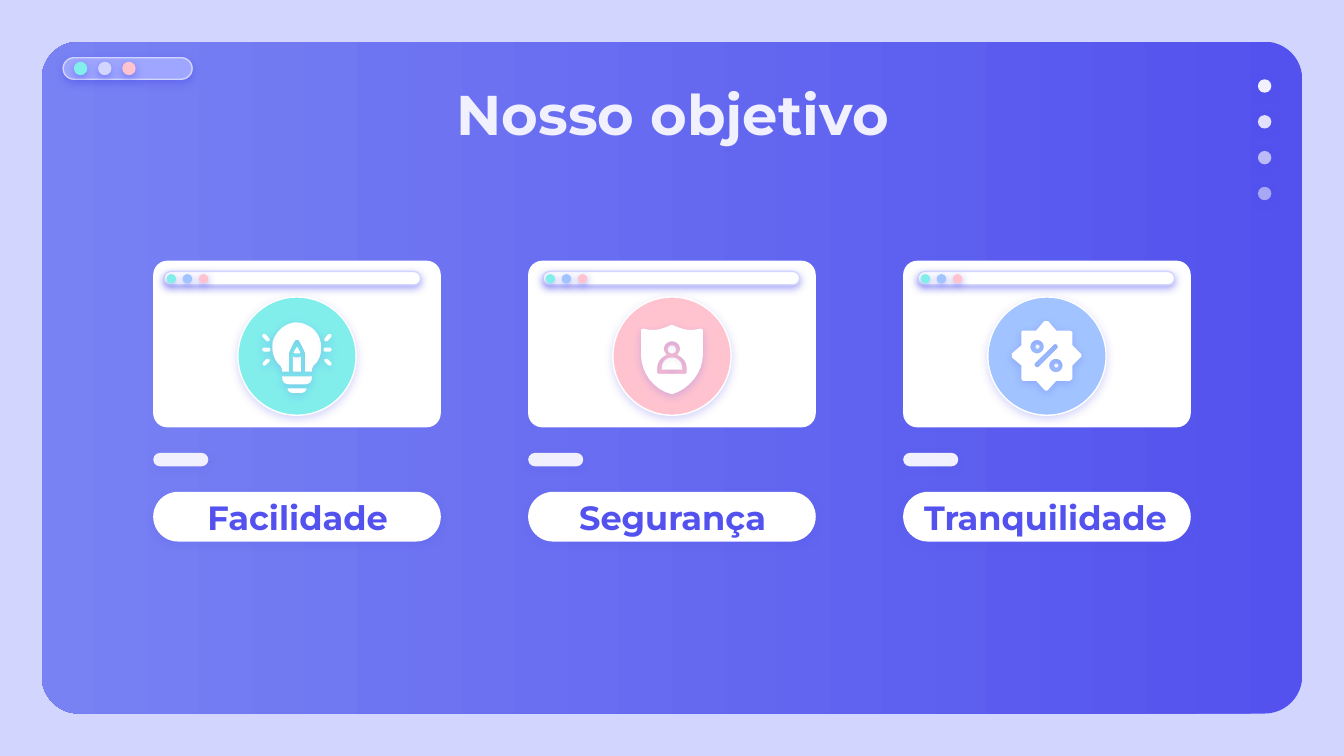
from dataclasses import dataclass
from math import cos, pi, sin
from typing import Optional

from lxml.etree import SubElement
from pptx import Presentation
from pptx.dml.color import RGBColor
from pptx.enum.shapes import MSO_SHAPE as Preset
from pptx.enum.text import MSO_ANCHOR as Anchor, MSO_AUTO_SIZE as AutoSize, PP_ALIGN as Align
from pptx.oxml.ns import qn
from pptx.util import Inches, Pt

COLORS = {
    "indigo": "5352EE", "violet": "7882F3", "lavender": "D2D6FF", "periwinkle": "9EA6FF",
    "mint": "81EEEB", "pink": "FFC3D0", "sky": "A1C3FF", "pale": "F1F0FF", "white": "FFFFFF",
}
FONT = "Montserrat"
MIDDLE_X, COLUMN_PITCH = 5.0, 2.79
CARD_WIDTH = 2.14
ICON_Y = 2.65
CURVE_STEPS = 8

RAYS = [
    "M -24 -6.3, C -26.4 -6.3 -26.4 -3.3 -24 -3.3, L -21 -3.3, C -19.4 -3.3 -19.4 -6.3 -21 -6.3",
    "M -24 -16.6, C -25.6 -16.6 -26.4 -15 -25 -13.6, L -23 -11.6, "
    "C -21 -10 -19.4 -12 -21 -13.6, L -23 -16",
    "M -22 2, C -22 2 -22.6 2 -23 2.4, L -25 4.4, C -26.6 6 -25 8 -23 6.4, "
    "L -21 4.4, C -19.6 3 -20.6 2 -22 2",
]
BULB = [
    "M 0 -25, C -2 -25 -3 -25 -4 -24.6, C -11 -23 -16 -17 -18 -11, C -19 -5 -18 1 -14 5.6, "
    "C -12 7 -11 9 -11 11.6, L -6 11.6, L -6 -2, C -6 -3 -2 -11 -1.4 -11.6, "
    "C -1 -12.3 1 -12.3 1.4 -11.6, C 2 -11 6 -3 6 -2, L 6 11.6, L 11 11.6, "
    "C 11 9 12 7 14 5.4, C 17 2 18 -2 18 -6, C 18 -12 16 -17 11 -21, C 8 -23 4 -25 0 -25",
    "M -3 0.4, L -3 11.6, L 3 11.6, L 3 0.4, C 2 1 1 1 0 1, C -1 1 -2 1 -3 0.4",
    "M -11 15, L -11 16, C -11 19 -9 21 -6 21, L 6 21, C 9 21 11 19 11 16, L 11 15",
    "M 0 -7, L -2.6 -2.6, C -2 -2 -1 -2 0 -2, C 1 -2 2 -2 2.6 -2.6",
    "M -7 24, C -7 26 -5 27.4 -3 27.4, L 3 27.4, C 5 27.4 7 26 7 24",
]
SHIELD = [
    "M 0 1, C -4 1 -7.6 4 -7.6 9, L -7.6 10, L 7.6 10, L 7.6 9, C 7.6 4 4 1 0 1",
    "O 0 -5 3",
    "M 0 -11, C 3 -11 6 -9 6 -5, C 6 -4 5 -2 4 -1, C 8 1 11 4 11 9, L 11 12, "
    "C 11 13 10 13.3 9 13.3, L -9 13.3, C -10 13.3 -11 13 -11 12, L -11 9, "
    "C -11 4 -8 1 -4 -1, C -5 -2 -6 -4 -6 -5, C -6 -9 -3 -11 0 -11, "
    "M 0 -23.4, L -1 -23, C -5 -21 -10 -19.4 -14 -19.4, C -17 -19.4 -19 -20 -21 -20.4, "
    "C -22 -20.4 -23 -20 -23 -19, L -23 -1, C -23 12 -14 25 0 28.4, C 13 24.6 23 12 23 -1, "
    "L 23 -19, C 23 -20 22 -20.4 21 -20.4, C 19 -20 16 -19.4 14 -19.4, "
    "C 10 -19.4 5 -21 1 -23, L 0 -23.4",
]
BADGE = [
    "O 7 7 1.5",
    "O -7 -7 1.5",
    "O -7.3 -7 5, O 6.7 7 5, "
    "M 6 -9, C 7 -9 8 -8.4 8 -7.4, L 8 -6, L -6 8, C -7 9 -10 8 -9 5.4, L 5 -8.4, "
    "M 0 -26, L -2 -26, L -8 -19, L -18 -19, L -19 -18, L -19 -8, L -26 -2, C -26 -1 -26 0 -26 1, "
    "L -19 7, L -19 17, L -18 18.4, L -8 18.4, L -2 25, C -1 26 0 26 1 25, L 7 18.4, "
    "L 17 18.4, L 19 17, L 19 7, L 25 1, C 26 0 26 -1 25 -2, L 19 -8, L 19 -18, "
    "L 17 -19, L 7 -19, L 1 -26",
]


@dataclass
class Style:
    fill: str
    alpha: int = 100
    line: Optional[str] = None
    shadow: int = 0


@dataclass
class Goal:
    label: str
    color: str
    bar_left: float
    label_left: float
    label_width: float
    outlines: list[str]
    mirrored: list[str]


GOALS = [
    Goal("Facilidade", "mint", 1.22, 1.34, 1.75, BULB, RAYS),
    Goal("Segurança", "pink", 4.04, 4.13, 1.75, SHIELD, []),
    Goal("Tranquilidade", "sky", 6.83, 6.75, 2.06, BADGE, []),
]


def rgb(name: str) -> RGBColor:
    return RGBColor.from_string(COLORS[name])


def paint(shape, style: Style) -> None:
    shape.fill.solid()
    shape.fill.fore_color.rgb = rgb(style.fill)
    if style.alpha < 100:
        color = shape.element.spPr.find(qn("a:solidFill"))[0]
        SubElement(color, qn("a:alpha"), val=str(style.alpha * 1000))
    if style.line:
        shape.line.color.rgb = rgb(style.line)
        shape.line.width = Pt(0.75)
    else:
        shape.line.fill.background()
    shape.shadow.inherit = False
    if style.shadow:
        effects = shape.element.spPr.find(qn("a:effectLst"))
        outer = SubElement(effects, qn("a:outerShdw"), blurRad=str(Pt(4.5)), dist=str(Pt(1.5)),
                           dir="5400000", algn="bl", rotWithShape="0")
        color = SubElement(outer, qn("a:srgbClr"), val=COLORS["indigo"])
        SubElement(color, qn("a:alpha"), val=str(style.shadow * 1000))


def add_preset(shapes, preset, left: float, top: float, width: float, height: float,
               style: Style, corner: float = 0.5):
    shape = shapes.add_shape(preset, Inches(left), Inches(top), Inches(width), Inches(height))
    if preset == Preset.ROUNDED_RECTANGLE:
        shape.adjustments[0] = corner
    paint(shape, style)
    return shape


def add_dots(shapes, left: float, top: float, step: float, size: float, colors: list[str]) -> None:
    for index, color in enumerate(colors):
        add_preset(shapes, Preset.OVAL, left + index * step, top, size, size, Style(color, shadow=50))


def flatten(outline: str) -> list[list[tuple[float, float]]]:
    contours = []
    for step in outline.split(","):
        kind, *words = step.split()
        values = [float(word) for word in words]
        if kind == "O":
            x, y, radius = values
            angles = [2 * pi * turn / 24 for turn in range(24)]
            contours.append([(x + radius * cos(a), y + radius * sin(a)) for a in angles])
        elif kind == "M":
            contours.append([(values[0], values[1])])
        elif kind == "L":
            contours[-1].append((values[0], values[1]))
        else:
            knots = [contours[-1][-1], *zip(values[::2], values[1::2])]
            for index in range(1, CURVE_STEPS + 1):
                t = index / CURVE_STEPS
                weights = ((1 - t) ** 3, 3 * t * (1 - t) ** 2, 3 * t * t * (1 - t), t ** 3)
                contours[-1].append(tuple(
                    sum(w * knot[axis] for w, knot in zip(weights, knots)) for axis in (0, 1)))
    return contours


def add_outline(shapes, outline: str, center_x: float, side: int = 1) -> None:
    contours = [[(Inches(side * x / 100), Inches(y / 100)) for x, y in contour]
                for contour in flatten(outline)]
    builder = shapes.build_freeform(*contours[0][0])
    for index, contour in enumerate(contours):
        if index:
            builder.move_to(*contour[0])
        builder.add_line_segments(contour[1:], close=True)
    paint(builder.convert_to_shape(Inches(center_x), Inches(ICON_Y)), Style("white", shadow=22))


def set_text(holder, text: str, box: tuple, size: int, color: str, anchor) -> None:
    holder.left, holder.top, holder.width, holder.height = (Inches(value) for value in box)
    frame = holder.text_frame
    frame.text = text
    frame.word_wrap = True
    frame.auto_size = AutoSize.NONE
    frame.vertical_anchor = anchor
    frame.margin_left = frame.margin_right = frame.margin_top = frame.margin_bottom = Inches(0.1)
    para = frame.paragraphs[0]
    para.alignment = Align.CENTER
    para.space_before = Pt(0)
    font = para.font
    font.name, font.size, font.bold = FONT, Pt(size), True
    font.color.rgb = rgb(color)
    properties = para._p.get_or_add_pPr()
    properties.set("marL", "0")
    properties.set("indent", "0")
    properties.insert_element_before(properties.makeelement(qn("a:buNone")), "a:tabLst", "a:defRPr")
    holder.element.getparent().append(holder.element)


def add_frame(shapes) -> None:
    panel = add_preset(shapes, Preset.ROUNDED_RECTANGLE, 0.31, 0.31, 9.38, 5, Style("indigo"), 0.056)
    panel.fill.gradient()
    panel.fill.gradient_angle = 180
    for stop, color in zip(panel.fill.gradient_stops, ("indigo", "violet")):
        stop.color.rgb = rgb(color)
    add_preset(shapes, Preset.ROUNDED_RECTANGLE, 0.47, 0.43, 0.96, 0.16,
               Style("periwinkle", line="lavender", shadow=50))
    add_dots(shapes.add_group_shape().shapes, 0.55, 0.46, 0.18, 0.1, ["mint", "lavender", "pink"])
    scroll = shapes.add_group_shape().shapes
    for index, alpha in enumerate((100, 90, 67, 54)):
        add_preset(scroll, Preset.OVAL, 9.36, 0.59 + index * 0.8 / 3, 0.1, 0.1,
                   Style("pale", alpha, shadow=50))


def add_goal(shapes, goal: Goal, center_x: float, holder) -> None:
    rounded = Preset.ROUNDED_RECTANGLE
    left = center_x - CARD_WIDTH / 2
    add_preset(shapes, rounded, left, 1.94, CARD_WIDTH, 1.24, Style("white"), 0.085)
    bar = shapes.add_group_shape().shapes
    add_preset(bar, rounded, goal.bar_left, 2.02, 1.91, 0.1, Style("white", line="lavender", shadow=50))
    add_dots(bar, goal.bar_left + 0.02, 2.04, 0.12, 0.07, ["mint", "sky", "pink"])
    add_preset(shapes, rounded, left, 3.66, CARD_WIDTH, 0.37, Style("white", shadow=18))
    paint(holder, Style("white"))
    set_text(holder, goal.label, (goal.label_left, 3.75, goal.label_width, 0.2),
             18, "indigo", Anchor.MIDDLE)
    add_preset(shapes, Preset.OVAL, center_x - 0.44, ICON_Y - 0.44, 0.88, 0.88,
               Style(goal.color, line="white", shadow=22))
    add_preset(shapes, rounded, left, 3.37, 0.41, 0.1, Style("pale", shadow=15))
    icon = shapes.add_group_shape().shapes
    for outline in goal.outlines + goal.mirrored:
        add_outline(icon, outline, center_x)
    for outline in goal.mirrored:
        add_outline(icon, outline, center_x, side=-1)


def main() -> None:
    deck = Presentation()
    deck.slide_width = Inches(10)
    deck.slide_height = deck.slide_width * 9 // 16
    page = deck.slides.add_slide(deck.slide_layouts.get_by_name("Comparison"))
    page.background.fill.solid()
    page.background.fill.fore_color.rgb = rgb("lavender")
    title, *holders, spare = list(page.placeholders)
    spare.element.getparent().remove(spare.element)
    add_frame(page.shapes)
    set_text(title, "Nosso objetivo", (0.79, 0.49, 8.43, 0.63), 30, "pale", Anchor.TOP)
    for index, (goal, holder) in enumerate(zip(GOALS, holders)):
        add_goal(page.shapes, goal, MIDDLE_X + (index - 1) * COLUMN_PITCH, holder)
    deck.save("out.pptx")


if __name__ == "__main__":
    main()
